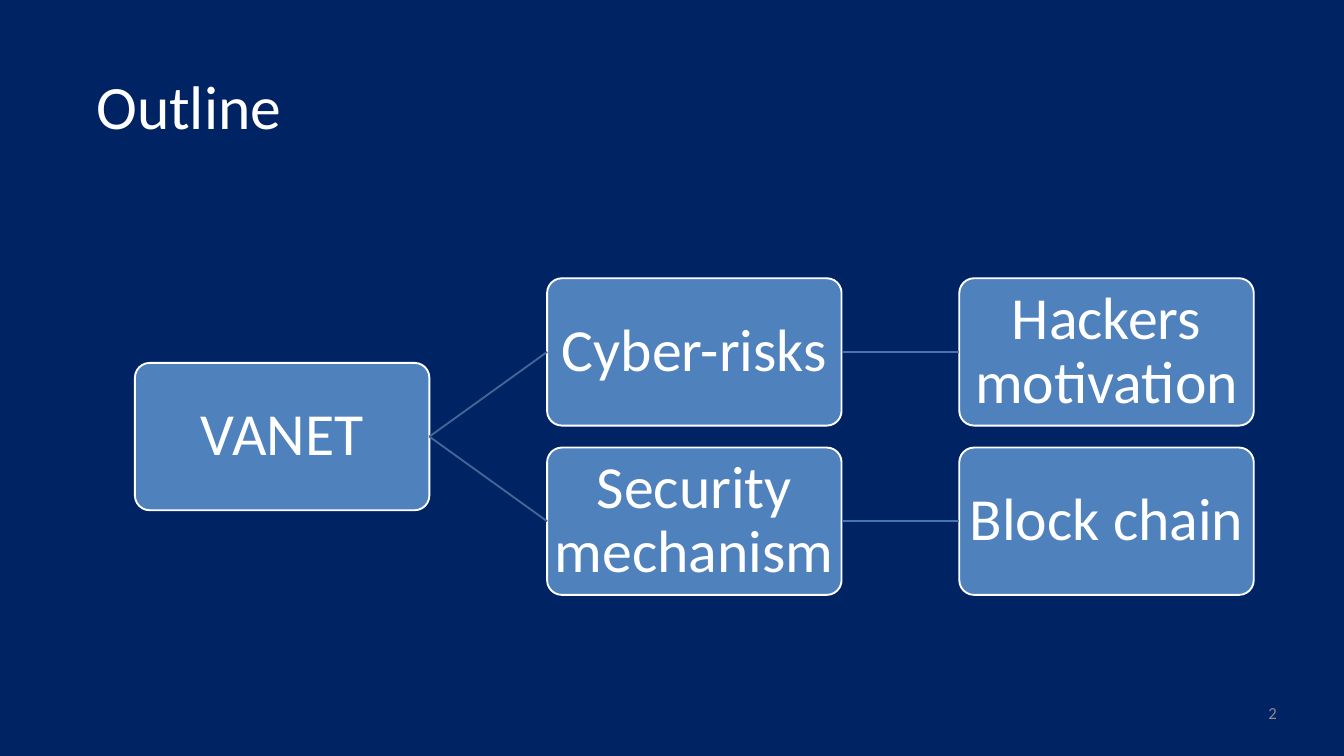
from dataclasses import dataclass

from lxml import etree
from pptx import Presentation
from pptx.dml.color import RGBColor
from pptx.enum.shapes import MSO_CONNECTOR, MSO_SHAPE
from pptx.enum.text import MSO_ANCHOR, PP_ALIGN
from pptx.oxml.ns import qn
from pptx.shapes.autoshape import Shape
from pptx.slide import Slide
from pptx.text.text import TextFrame
from pptx.util import Cm, Pt

ROUND = MSO_SHAPE.ROUNDED_RECTANGLE
LINE = MSO_CONNECTOR.STRAIGHT
TOP, MIDDLE = MSO_ANCHOR.TOP, MSO_ANCHOR.MIDDLE
LEFT, CENTER, RIGHT = PP_ALIGN.LEFT, PP_ALIGN.CENTER, PP_ALIGN.RIGHT
LEFT_SITE, RIGHT_SITE = 1, 3


@dataclass(frozen=True)
class Theme:
    font: str = "Calibri"
    back: str = "002364"
    box: str = "4F81BD"
    white: str = "FFFFFF"
    gray: str = "8C8C8C"
    near: str = "3F6797"
    far: str = "4875AC"
    title: int = 66
    node: int = 64
    page: int = 18
    stroke: int = 2


@dataclass(frozen=True)
class Node:
    text: str
    col: int
    row: float


@dataclass(frozen=True)
class Link:
    start: str
    end: str
    color: str


THEME = Theme()
BOX_W, BOX_H = 11.13, 5.57
FIRST_X, STEP_X = 5.1, 15.58
FIRST_Y, STEP_Y = 10.52, 6.4

NODES = (
    Node("VANET", 0, 0.5),
    Node("Cyber-risks", 1, 0),
    Node("Hackers motivation", 2, 0),
    Node("Security mechanism", 1, 1),
    Node("Block chain", 2, 1),
)
LINKS = (
    Link("VANET", "Cyber-risks", THEME.near),
    Link("VANET", "Security mechanism", THEME.near),
    Link("Cyber-risks", "Hackers motivation", THEME.far),
    Link("Security mechanism", "Block chain", THEME.far),
)


def rgb(code: str) -> RGBColor:
    return RGBColor.from_string(code)


def write(frame: TextFrame, text: str, size: int, color: str, align: PP_ALIGN,
          anchor: MSO_ANCHOR, inset: float, wrap: bool = True, lead: float = 1.0) -> None:
    """Fill a frame with one styled paragraph; inset is in centimetres."""
    frame.text = text
    para = frame.paragraphs[0]
    edge = Cm(inset)
    formats = {
        frame: {"word_wrap": wrap, "vertical_anchor": anchor,
                "margin_left": edge, "margin_right": edge,
                "margin_top": edge, "margin_bottom": edge},
        para: {"alignment": align, "line_spacing": lead},
        para.runs[0].font: {"name": THEME.font, "size": Pt(size), "bold": False},
    }
    for item, values in formats.items():
        for name, value in values.items():
            setattr(item, name, value)
    para.runs[0].font.color.rgb = rgb(color)


def add_title(slide: Slide, text: str) -> None:
    title = slide.shapes.title
    place = {"left": Cm(3.39), "top": Cm(2.44), "width": Cm(12), "height": Cm(3.07)}
    for name, value in place.items():
        setattr(title, name, value)
    write(title.text_frame, text, THEME.title, THEME.white, LEFT, MIDDLE, 0.25, wrap=False)


def add_node(slide: Slide, node: Node) -> Shape:
    box = slide.shapes.add_shape(
        ROUND, Cm(FIRST_X + node.col * STEP_X), Cm(FIRST_Y + node.row * STEP_Y),
        Cm(BOX_W), Cm(BOX_H))
    box.adjustments[0] = 0.1
    box.shadow.inherit = False
    box.fill.solid()
    box.fill.fore_color.rgb = rgb(THEME.box)
    box.line.color.rgb = rgb(THEME.white)
    box.line.width = Pt(THEME.stroke)
    write(box.text_frame, node.text, THEME.node, THEME.white, CENTER, MIDDLE, 0.1, lead=0.9)
    return box


def add_link(slide: Slide, link: Link, boxes: dict[str, Shape]) -> None:
    line = slide.shapes.add_connector(LINE, 0, 0, 0, 0)
    line.begin_connect(boxes[link.start], RIGHT_SITE)
    line.end_connect(boxes[link.end], LEFT_SITE)
    line.line.color.rgb = rgb(link.color)
    line.line.width = Pt(THEME.stroke)
    etree.SubElement(line._element.spPr, qn("a:effectLst"))


def add_page(slide: Slide, text: str) -> None:
    box = slide.shapes.add_textbox(Cm(36.58), Cm(26.57), Cm(11.68), Cm(1.42))
    write(box.text_frame, text, THEME.page, THEME.gray, RIGHT, TOP, 0)


def main() -> None:
    deck = Presentation()
    deck.slide_width, deck.slide_height = Cm(50.8), Cm(28.58)
    slide = deck.slides.add_slide(deck.slide_layouts.get_by_name("Title Only"))
    slide.background.fill.solid()
    slide.background.fill.fore_color.rgb = rgb(THEME.back)
    add_title(slide, "Outline")
    boxes = {node.text: add_node(slide, node) for node in NODES}
    for link in LINKS:
        add_link(slide, link, boxes)
    add_page(slide, "2")
    deck.save("out.pptx")


if __name__ == "__main__":
    main()
